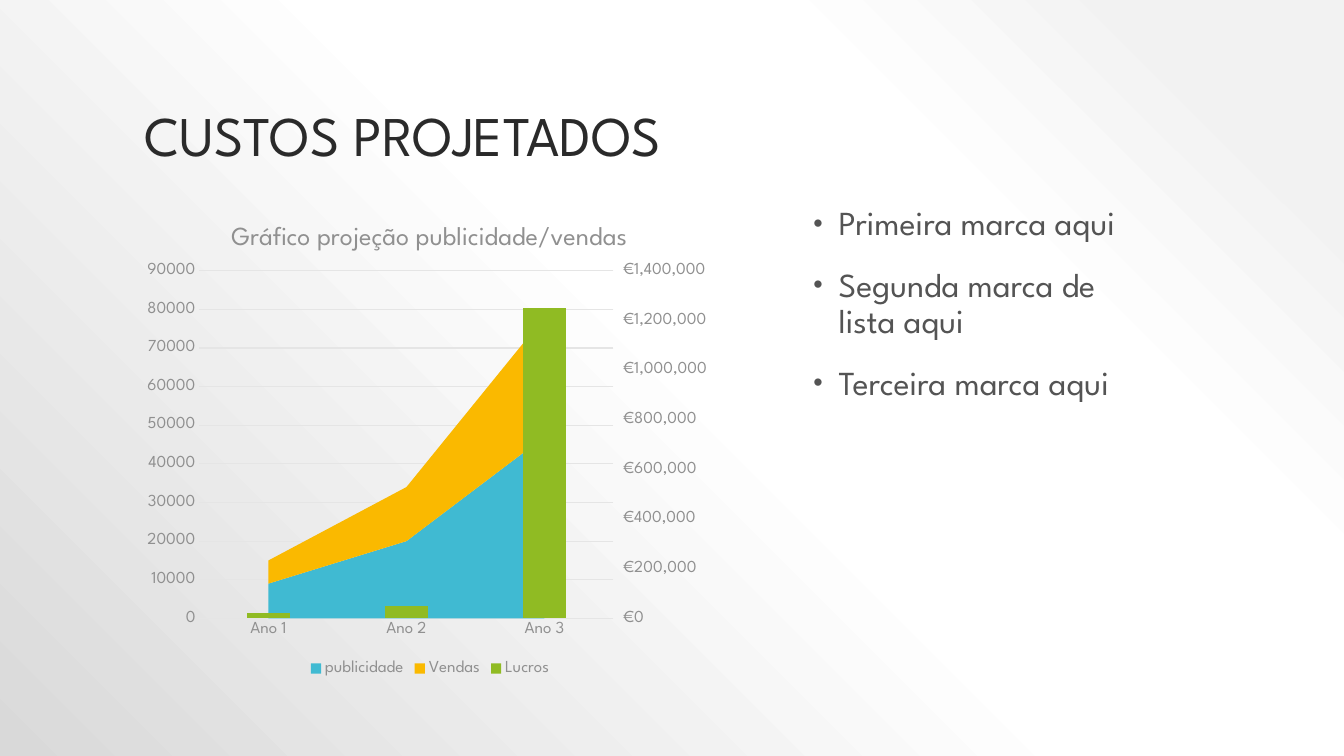
from copy import deepcopy
from dataclasses import dataclass

from lxml.etree import SubElement
from pptx import Presentation
from pptx.chart.axis import CategoryAxis, ValueAxis
from pptx.chart.data import CategoryChartData
from pptx.dml.color import RGBColor
from pptx.enum.chart import XL_CHART_TYPE as ChartType
from pptx.enum.chart import XL_LEGEND_POSITION as LegendPosition
from pptx.enum.chart import XL_TICK_MARK as TickMark
from pptx.enum.text import MSO_ANCHOR as Anchor
from pptx.enum.text import MSO_AUTO_SIZE as AutoSize
from pptx.enum.text import PP_ALIGN as Align
from pptx.oxml.ns import qn
from pptx.util import Inches, Pt


@dataclass(frozen=True)
class Theme:
    font: str = "League Spartan"
    title: str = "2A2A2A"
    body: str = "545454"
    label: str = "909090"
    grid: str = "E5E5E5"
    series: tuple = ("40BAD2", "FAB900", "90BB23")
    backdrop: tuple = ((0.1, "F2F2F2"), (0.28, "FFFFFF"), (0.48, "FFFFFF"), (1, "D9D9D9"))
    title_size: int = 40
    body_size: int = 24
    chart_title_size: float = 18.6
    label_size: int = 12


THEME = Theme()
WIDTH, HEIGHT = 13.33, 7.5

# Boxes: left, top, width, height as shares of the slide
TITLE_BOX = (0.1, 0.04, 0.8, 0.19)
CHART_BOX = (0.1, 0.27, 0.44, 0.63)
LIST_BOX = (0.594, 0.267, 0.386, 0.633)

MARKS = [["Primeira marca aqui"], ["Segunda marca de ", "lista aqui"], ["Terceira marca aqui"]]
YEARS = ["Ano 1", "Ano 2", "Ano 3"]
FIGURES = {
    "publicidade": (9000, 20000, 47000),
    "Vendas": (6000, 14000, 31000),
    "Lucros": (20000, 50000, 1250000),
}


def place(box):
    left, top, width, height = box
    return (Inches(left * WIDTH), Inches(top * HEIGHT),
            Inches(width * WIDTH), Inches(height * HEIGHT))


def move(shape, box):
    shape.left, shape.top, shape.width, shape.height = place(box)


def add_child(parent, tag, **attributes):
    return SubElement(parent, qn(tag), {key: str(value) for key, value in attributes.items()})


def style_font(font, size, color):
    font.name = THEME.font
    font.size = Pt(size)
    font.bold = False
    font.color.rgb = RGBColor.from_string(color)


def add_run(paragraph, text, size, color):
    run = paragraph.add_run()
    run.text = text
    style_font(run.font, size, color)


def paint_background(slide):
    """Circular gradient spreading from the top right corner."""
    fill = slide.background.fill
    fill.gradient()
    gradient = next(slide.element.iter(qn("a:gradFill")))
    stops = gradient.find(qn("a:gsLst"))
    while len(stops) < len(THEME.backdrop):
        stops.append(deepcopy(stops[0]))
    for stop, (position, color) in zip(fill.gradient_stops, THEME.backdrop):
        stop.position = position
        stop.color.rgb = RGBColor.from_string(color)
    gradient.remove(gradient.find(qn("a:lin")))
    circle = add_child(gradient, "a:path", path="circle")
    add_child(circle, "a:fillToRect", l=100000, b=100000)


def fill_title(shape, box, text):
    move(shape, box)
    frame = shape.text_frame
    frame.auto_size = AutoSize.NONE
    frame.vertical_anchor = Anchor.BOTTOM
    paragraph = frame.paragraphs[0]
    paragraph.alignment = Align.LEFT
    paragraph.line_spacing = 0.9
    add_run(paragraph, text, THEME.title_size, THEME.title)


def add_bullet(paragraph):
    properties = paragraph._p.get_or_add_pPr()
    properties.set("marL", str(Inches(0.3)))
    properties.set("indent", str(Inches(-0.25)))
    add_child(add_child(properties, "a:buClr"), "a:srgbClr", val=THEME.body)
    add_child(properties, "a:buSzPct", val=80000)
    add_child(properties, "a:buFont", typeface="Arial")
    add_child(properties, "a:buChar", char="•")


def fill_list(shape, box, items):
    move(shape, box)
    frame = shape.text_frame
    frame.auto_size = AutoSize.NONE
    for index, lines in enumerate(items):
        paragraph = frame.add_paragraph() if index else frame.paragraphs[0]
        paragraph.line_spacing = 0.9
        paragraph.space_before = Pt(18)
        add_bullet(paragraph)
        for number, line in enumerate(lines):
            if number:
                paragraph.add_line_break()
            add_run(paragraph, line, THEME.body_size, THEME.body)


def set_scale(axis, maximum, step):
    axis.minimum_scale = 0
    axis.maximum_scale = maximum
    axis.major_unit = step


def style_axes(chart):
    for axis in (chart.category_axis, chart.value_axis):
        axis.major_tick_mark = axis.minor_tick_mark = TickMark.NONE
        style_font(axis.tick_labels.font, THEME.label_size, THEME.label)
    chart.category_axis.has_major_gridlines = False
    chart.value_axis.has_major_gridlines = True
    set_scale(chart.value_axis, 90000, 10000)
    chart.value_axis.format.line.fill.background()
    for line in (chart.category_axis.format.line, chart.value_axis.major_gridlines.format.line):
        line.color.rgb = RGBColor.from_string(THEME.grid)
        line.width = Pt(0.75)


def copy_axis(element, own_id, cross_id):
    twin = deepcopy(element)
    twin.find(qn("c:axId")).set("val", own_id)
    twin.find(qn("c:crossAx")).set("val", cross_id)
    return twin


def move_last_series_to_columns(chart, plot_area):
    """Draw the last series as columns on a second axis at the right."""
    category_id, value_id = "5001", "5002"
    areas = plot_area.find(qn("c:areaChart"))
    columns = add_child(plot_area, "c:barChart")
    add_child(columns, "c:barDir", val="col")
    add_child(columns, "c:grouping", val="clustered")
    add_child(columns, "c:varyColors", val=0)
    columns.append(areas.findall(qn("c:ser"))[-1])
    add_child(columns, "c:gapWidth", val=219)
    add_child(columns, "c:axId", val=category_id)
    add_child(columns, "c:axId", val=value_id)
    areas.addnext(columns)

    value_element = plot_area.find(qn("c:valAx"))
    value_element.find(qn("c:crossBetween")).set("val", "between")
    right_element = copy_axis(value_element, value_id, category_id)
    right_element.find(qn("c:axPos")).set("val", "r")
    right_element.find(qn("c:crosses")).set("val", "max")
    hidden_element = copy_axis(plot_area.find(qn("c:catAx")), category_id, value_id)
    value_element.addnext(right_element)
    right_element.addnext(hidden_element)

    CategoryAxis(hidden_element).visible = False
    right_axis = ValueAxis(right_element)
    right_axis.has_major_gridlines = False
    right_axis.major_tick_mark = TickMark.OUTSIDE
    right_axis.tick_labels.number_format = '"€"#,##0'
    right_axis.tick_labels.number_format_is_linked = False
    set_scale(right_axis, 1400000, 200000)


def set_plot_layout(plot_area, **shares):
    for layout in plot_area.findall(qn("c:layout")):
        plot_area.remove(layout)
    layout = add_child(plot_area, "c:layout")
    plot_area.insert(0, layout)
    manual = add_child(layout, "c:manualLayout")
    settings = {"layoutTarget": "inner", "xMode": "edge", "yMode": "edge", **shares}
    for name, value in settings.items():
        add_child(manual, f"c:{name}", val=value)


def add_projection_chart(slide, box, title):
    data = CategoryChartData()
    data.categories = YEARS
    for name, values in FIGURES.items():
        data.add_series(name, values)
    chart = slide.shapes.add_chart(ChartType.AREA_STACKED, *place(box), data).chart
    style_font(chart.font, 10, THEME.body)

    # Title and legend
    chart.has_title = True
    add_run(chart.chart_title.text_frame.paragraphs[0], title,
            THEME.chart_title_size, THEME.label)
    chart.has_legend = True
    chart.legend.position = LegendPosition.BOTTOM
    chart.legend.include_in_layout = False
    style_font(chart.legend.font, THEME.label_size, THEME.label)

    # Series, axes and plot area
    chart.plots[0].vary_by_categories = False
    for series, color in zip(chart.plots[0].series, THEME.series):
        series.format.fill.solid()
        series.format.fill.fore_color.rgb = RGBColor.from_string(color)
    style_axes(chart)
    plot_area = next(chart._chartSpace.iter(qn("c:plotArea")))
    move_last_series_to_columns(chart, plot_area)
    set_plot_layout(plot_area, x=0.11, y=0.14, w=0.7, h=0.73)


presentation = Presentation()
presentation.slide_width, presentation.slide_height = Inches(WIDTH), Inches(HEIGHT)
slide = presentation.slides.add_slide(presentation.slide_layouts[1])
paint_background(slide)
fill_title(slide.shapes.title, TITLE_BOX, "CUSTOS PROJETADOS")
fill_list(slide.placeholders[1], LIST_BOX, MARKS)
add_projection_chart(slide, CHART_BOX, "Gráfico projeção publicidade/vendas")
presentation.save("out.pptx")
